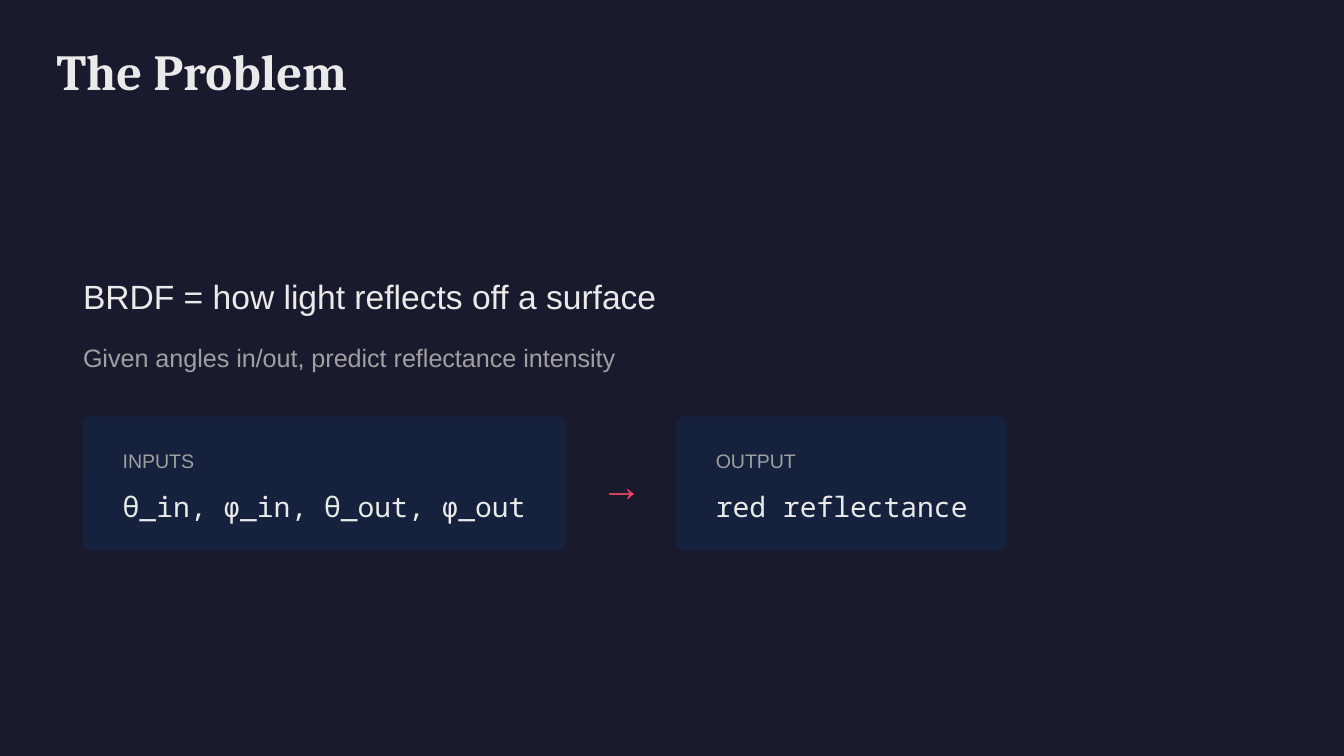
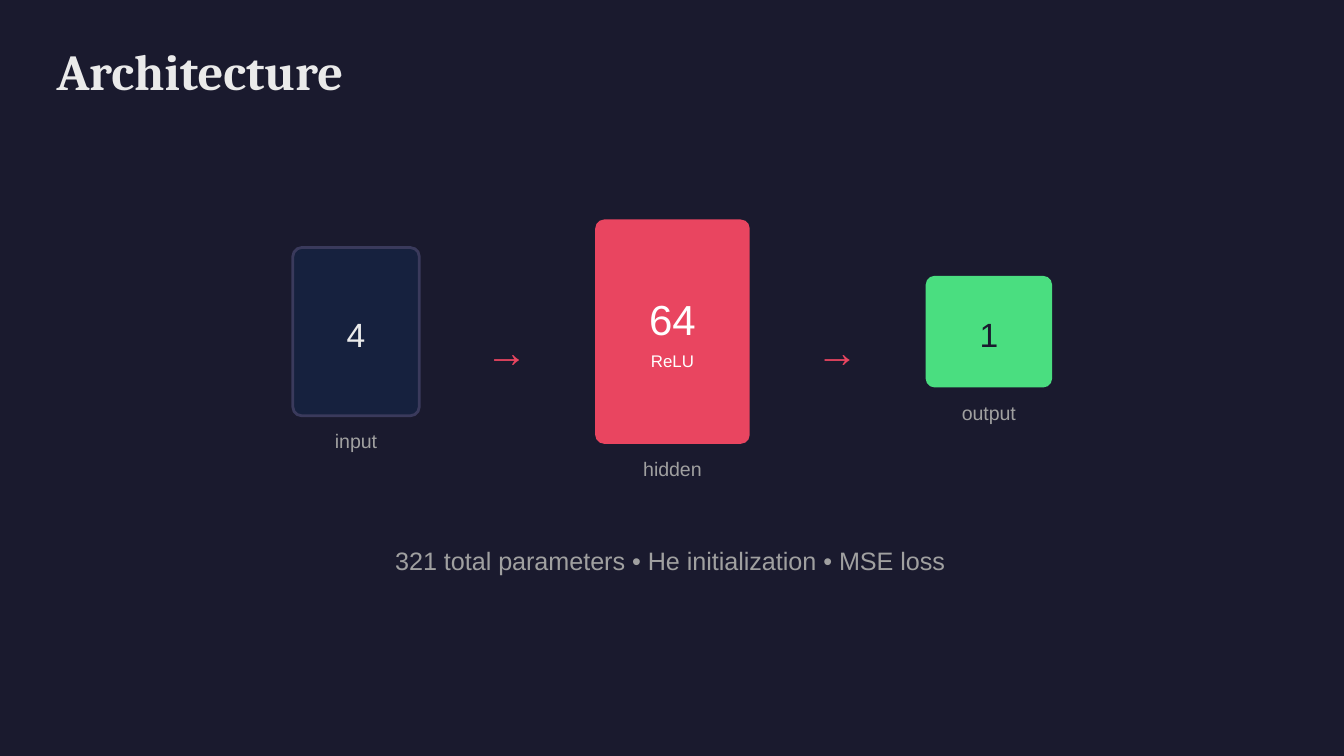
from pptx import Presentation
from pptx.dml.color import RGBColor
from pptx.enum.shapes import MSO_SHAPE as Shape
from pptx.enum.text import PP_ALIGN as Align
from pptx.util import Cm, Pt

NIGHT, NAVY, EDGE = "1A1A2E", "16213E", "3A3A5C"
LIGHT, GREY, WHITE = "EAEAEA", "A0A0A0", "FFFFFF"
RED, GREEN = "E94560", "4ADE80"
SERIF, SANS, MONO = "Cambria", "Arial", "Noto Sans Mono"
CORNER = 0.17
MARGIN = 1.57


def color(value):
    return RGBColor.from_string(value)


def add_text(slide, text, left, top, width, height, *, size, leading, fill=LIGHT,
             font=SANS, bold=False, centered=False, before=0, after=0):
    box = slide.shapes.add_textbox(Cm(left), Cm(top), Cm(width), Cm(height))
    frame = box.text_frame
    frame.word_wrap = not centered
    frame.margin_left = frame.margin_right = frame.margin_top = frame.margin_bottom = 0
    paragraph = frame.paragraphs[0]
    paragraph.alignment = Align.CENTER if centered else Align.LEFT
    paragraph.line_spacing = Pt(leading)
    if before:
        paragraph.space_before = Pt(before)
    if after:
        paragraph.space_after = Pt(after)
    run = paragraph.add_run()
    run.text = text
    run.font.name = font
    run.font.size = Pt(size)
    run.font.bold = bold
    run.font.color.rgb = color(fill)


def add_panel(slide, left, top, width, height, fill, edge=None):
    panel = slide.shapes.add_shape(Shape.ROUNDED_RECTANGLE, Cm(left), Cm(top),
                                   Cm(width), Cm(height))
    panel.shadow.inherit = False
    panel.adjustments[0] = CORNER / min(width, height)
    panel.fill.solid()
    panel.fill.fore_color.rgb = color(fill)
    if edge:
        panel.line.color.rgb = color(edge)
        panel.line.width = Pt(1.5)
    else:
        panel.line.fill.background()


def add_titled_slide(deck, title):
    slide = deck.slides.add_slide(deck.slide_layouts[6])
    slide.background.fill.solid()
    slide.background.fill.fore_color.rgb = color(NIGHT)
    add_text(slide, title, 1.07, 0.84, 11.91, 1.07, size=27, leading=30,
             font=SERIF, bold=True)
    return slide


def add_arrow(slide, center, top):
    add_text(slide, "→", center - 0.41, top, 0.82, 0.97, size=22.5, leading=27, fill=RED)


def add_card(slide, label, content, left, top, width, height):
    add_panel(slide, left, top, width, height, NAVY)
    inner_left, inner_width = left + 0.75, width - 1.34
    add_text(slide, label, inner_left, top + 0.53, inner_width, 0.53,
             size=10.5, leading=15, fill=GREY, after=6)
    add_text(slide, content, inner_left, top + 1.27, inner_width, 0.74,
             size=15, leading=21, font=MONO)


def add_layer(slide, center, middle, width, height, *, units, label, label_width,
              fill, ink, edge=None, activation=None):
    top = middle - height / 2
    add_panel(slide, center - width / 2, top, width, height, fill, edge)
    if activation:
        add_text(slide, units, center - 0.45, middle - 0.73, 0.9, 0.97,
                 size=22.5, leading=27, fill=ink, centered=True)
        add_text(slide, activation, center - 0.42, middle + 0.31, 0.84, 0.42,
                 size=9, leading=12, fill=ink, centered=True, before=3)
    else:
        add_text(slide, units, center - 0.18, middle - 0.42, 0.36, 0.84,
                 size=18, leading=24, fill=ink, centered=True)
    add_text(slide, label, center - label_width / 2, top + height + 0.16, label_width, 0.53,
             size=10.5, leading=15, fill=GREY, centered=True)


def build_problem(deck):
    slide = add_titled_slide(deck, "The Problem")
    add_text(slide, "BRDF = how light reflects off a surface", MARGIN, 5.13, 22.68, 0.84,
             size=18, leading=24)
    add_text(slide, "Given angles in/out, predict reflectance intensity",
             MARGIN, 6.3, 22.68, 0.74, size=13.5, leading=21, fill=GREY)
    add_card(slide, "INPUTS", "θ_in, φ_in, θ_out, φ_out", MARGIN, 7.87, 9.12, 2.54)
    add_arrow(slide, 11.76, 8.69)
    add_card(slide, "OUTPUT", "red reflectance", 12.78, 7.87, 6.25, 2.54)


def build_architecture(deck):
    slide = add_titled_slide(deck, "Architecture")
    first_center, pitch, middle = 6.73, 5.98, 6.27
    layers = [
        dict(width=2.39, height=3.18, units="4", label="input", label_width=0.81,
             fill=NAVY, ink=LIGHT, edge=EDGE),
        dict(width=2.92, height=4.24, units="64", label="hidden", label_width=1.14,
             fill=RED, ink=WHITE, activation="ReLU"),
        dict(width=2.39, height=2.11, units="1", label="output", label_width=1.04,
             fill=GREEN, ink=NIGHT),
    ]
    previous_right = None
    for index, layer in enumerate(layers):
        center = first_center + index * pitch
        left = center - layer["width"] / 2
        if previous_right is not None:
            add_arrow(slide, (previous_right + left) / 2, 6.15)
        add_layer(slide, center, middle, **layer)
        previous_right = left + layer["width"]
    add_text(slide, "321 total parameters • He initialization • MSE loss",
             7.47, 10.13, 10.64, 0.74, size=13.5, leading=21, fill=GREY)


def main():
    deck = Presentation()
    deck.slide_width, deck.slide_height = Cm(25.4), Cm(14.29)
    build_problem(deck)
    build_architecture(deck)
    deck.save("out.pptx")


if __name__ == "__main__":
    main()
